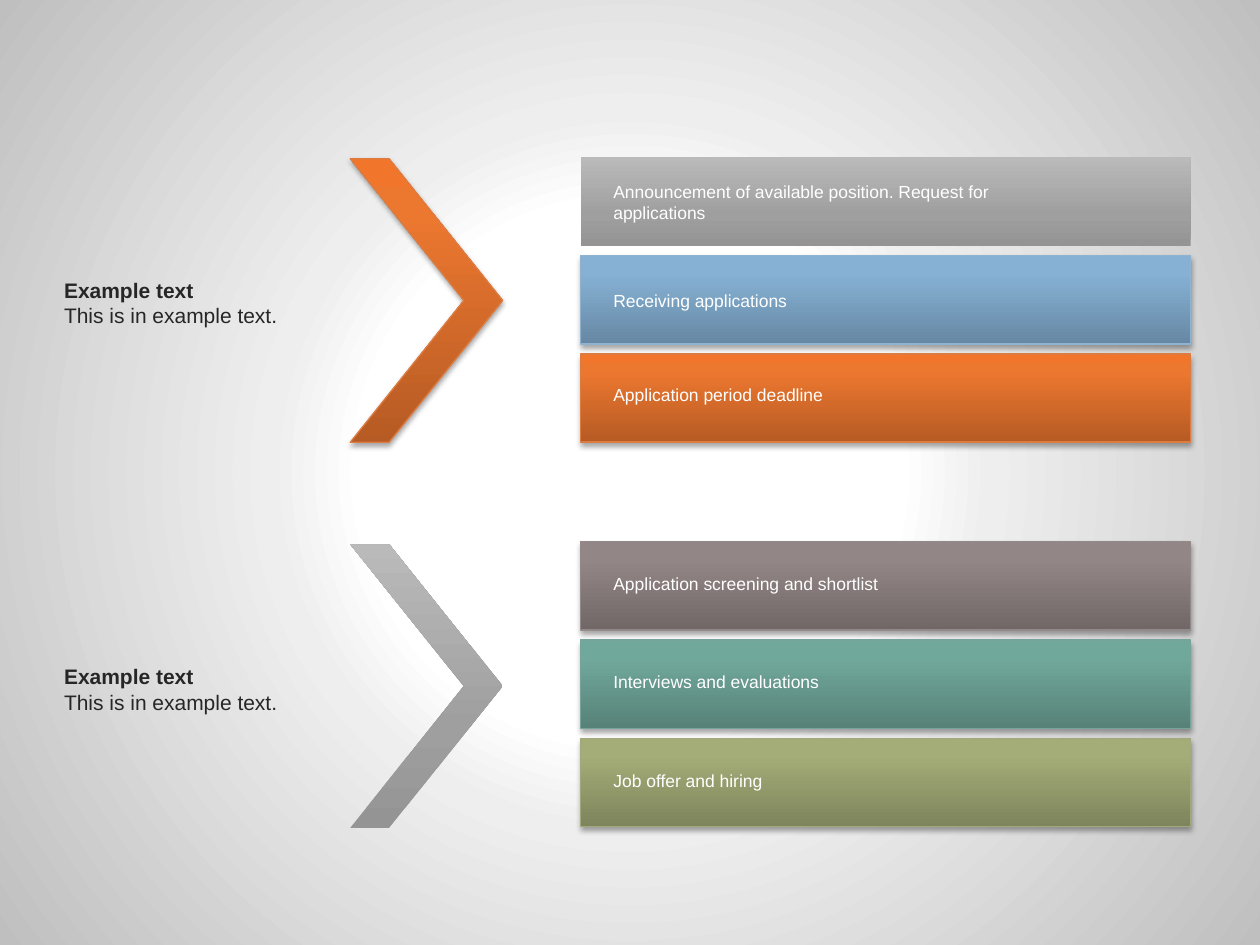
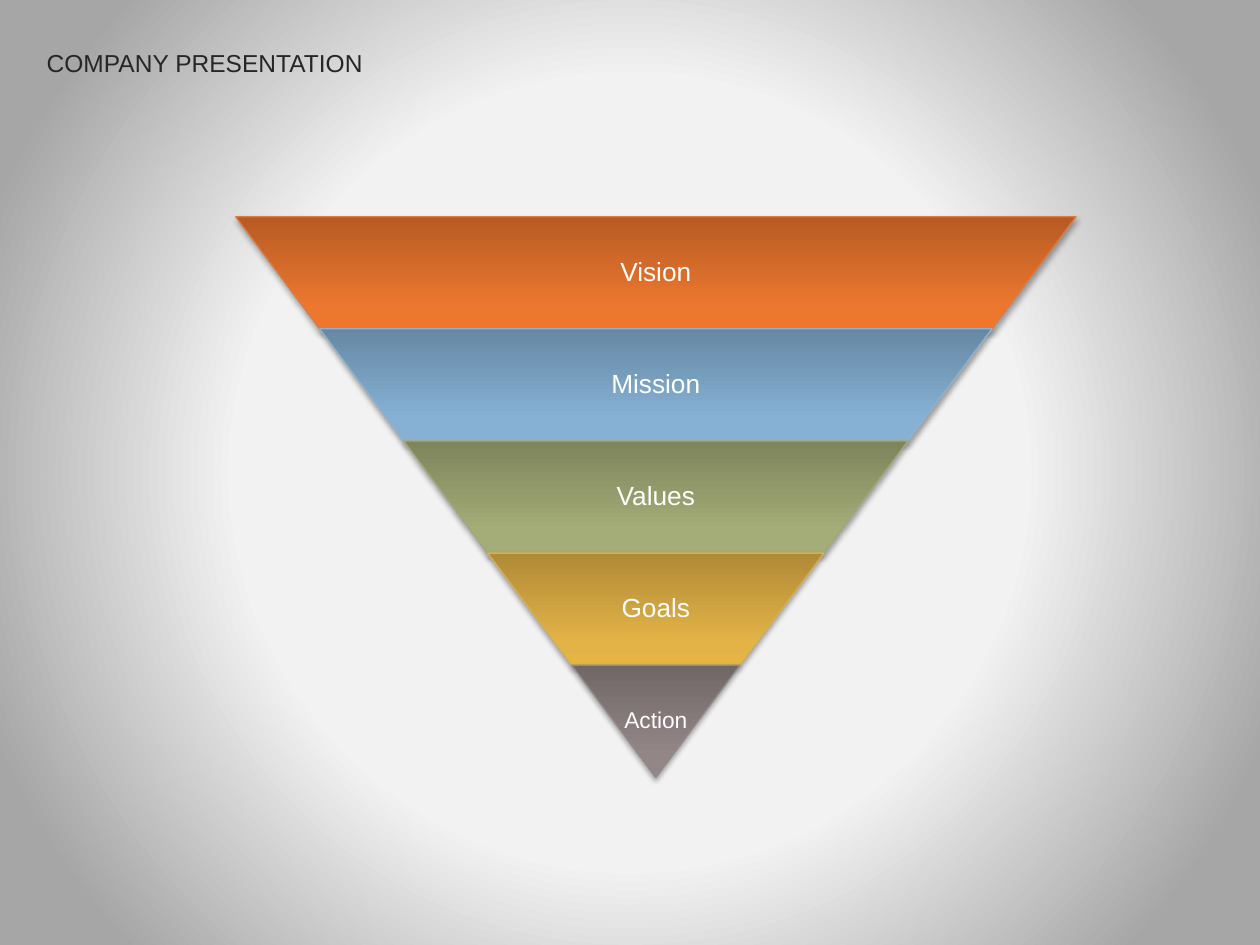
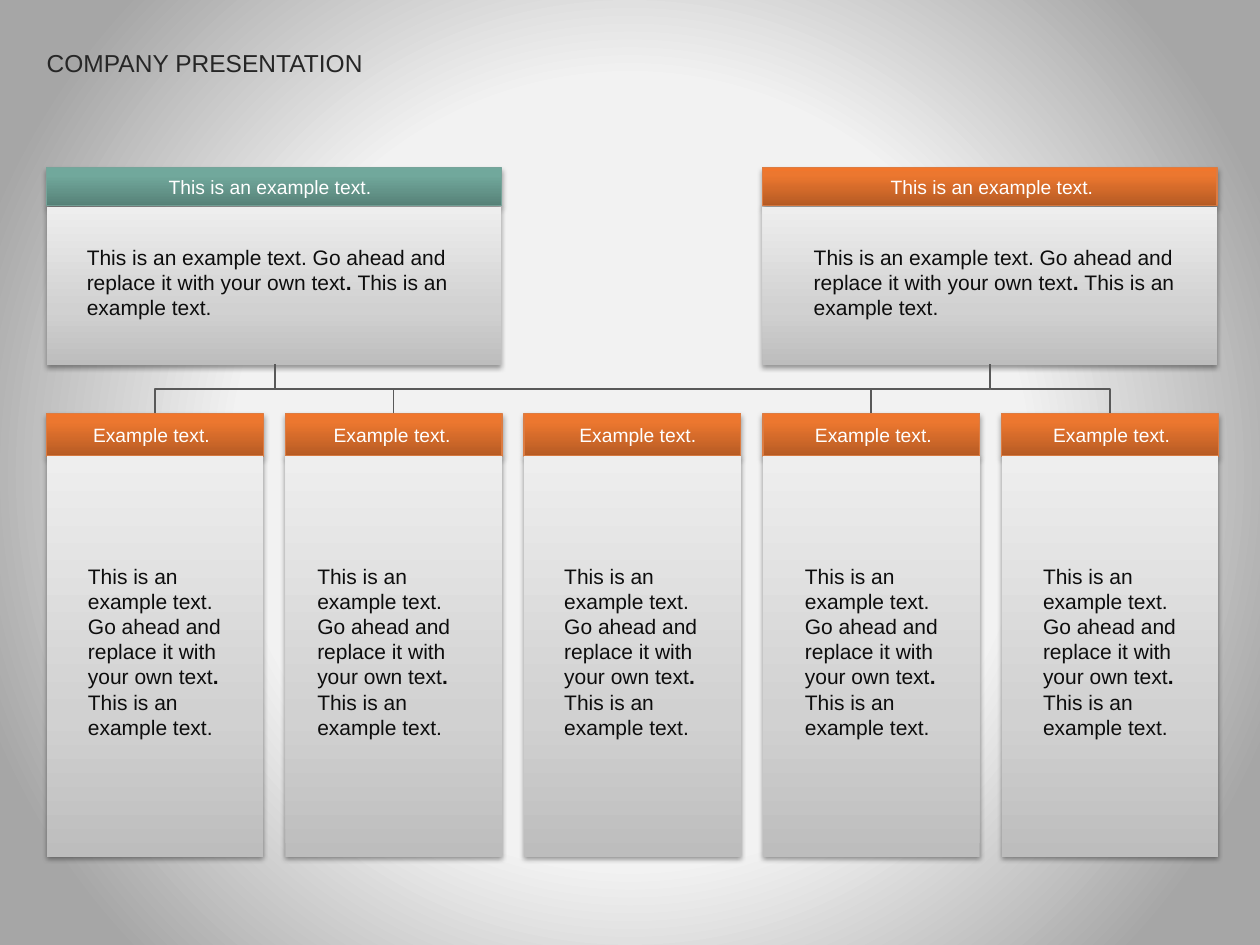
from pptx import Presentation
from pptx.dml.color import RGBColor
from pptx.enum.shapes import MSO_CONNECTOR, MSO_SHAPE
from pptx.enum.text import MSO_ANCHOR, MSO_AUTO_SIZE, PP_ALIGN
from pptx.oxml import parse_xml
from pptx.oxml.ns import nsdecls
from pptx.util import Inches, Pt

RECT, CHEVRON, TRAPEZOID = MSO_SHAPE.RECTANGLE, MSO_SHAPE.CHEVRON, MSO_SHAPE.TRAPEZOID
ELBOW = MSO_CONNECTOR.ELBOW
TOP, MIDDLE = MSO_ANCHOR.TOP, MSO_ANCHOR.MIDDLE
LEFT, CENTER = PP_ALIGN.LEFT, PP_ALIGN.CENTER
GROW, FIXED = MSO_AUTO_SIZE.SHAPE_TO_FIT_TEXT, MSO_AUTO_SIZE.NONE

FONT = "Arial"
WHITE = RGBColor(0xFF, 0xFF, 0xFF)
DARK = RGBColor(0x26, 0x26, 0x26)
BODY = RGBColor(0x0D, 0x0D, 0x0D)
CONNECTOR = RGBColor(0x59, 0x59, 0x59)

# Outline colours
ORANGE_LINE = RGBColor(0xDC, 0x7C, 0x42)
BLUE_LINE = RGBColor(0x8F, 0xB2, 0xCF)
GREEN_LINE = RGBColor(0xA2, 0xA8, 0x7D)
TEAL_LINE = RGBColor(0x77, 0xA4, 0x9A)
MAUVE_LINE = RGBColor(0x93, 0x89, 0x89)
GOLD_LINE = RGBColor(0xD6, 0xAF, 0x57)

# Gradients: (position in percent, colour)
ORANGE = [(0, RGBColor(0xB6, 0x5B, 0x24)), (80, RGBColor(0xEC, 0x77, 0x2F)),
          (100, RGBColor(0xF1, 0x76, 0x2C))]
BLUE = [(0, RGBColor(0x67, 0x88, 0xA4)), (80, RGBColor(0x86, 0xB1, 0xD4)),
        (100, RGBColor(0x86, 0xB2, 0xD7))]
GREEN = [(0, RGBColor(0x7E, 0x84, 0x5C)), (80, RGBColor(0xA4, 0xAC, 0x77)),
         (100, RGBColor(0xA6, 0xAE, 0x76))]
TEAL = [(0, RGBColor(0x57, 0x82, 0x78)), (80, RGBColor(0x71, 0xA8, 0x9C)),
        (100, RGBColor(0x70, 0xAA, 0x9D))]
MAUVE = [(0, RGBColor(0x71, 0x67, 0x67)), (80, RGBColor(0x93, 0x86, 0x86)),
         (100, RGBColor(0x94, 0x87, 0x87))]
GOLD = [(0, RGBColor(0xAF, 0x8A, 0x37)), (80, RGBColor(0xE3, 0xB3, 0x47)),
        (100, RGBColor(0xE7, 0xB5, 0x44))]
GREY = [(0, RGBColor(0x94, 0x94, 0x94)), (35, RGBColor(0x9F, 0x9F, 0x9F)),
        (100, RGBColor(0xBA, 0xBA, 0xBA))]
PANEL = [(0, RGBColor(0xBD, 0xBD, 0xBD)), (35, RGBColor(0xD1, 0xD1, 0xD1)),
         (100, RGBColor(0xEE, 0xEE, 0xEE))]
LIGHT_GLOW = [(34, WHITE), (46, RGBColor(0xEE, 0xEE, 0xEE)),
              (100, RGBColor(0xBF, 0xBF, 0xBF))]
DARK_GLOW = [(50, RGBColor(0xF2, 0xF2, 0xF2)), (88, RGBColor(0xA6, 0xA6, 0xA6))]

LINEAR = '<a:lin ang="16200000" scaled="0"/>'
RADIAL = ('<a:path path="circle"><a:fillToRect l="50000" t="50000" r="50000" b="50000"/>'
          '</a:path>')
# Shadows: (opacity in percent, distance in points)
BAND_SHADOW, PANEL_SHADOW = (35, 1.8), (38, 1.6)


def add_block(slide, box, stops, line=None, shadow=None, kind=RECT, adj=None, shade=LINEAR):
    """Add a preset shape with a gradient fill and optional outline and shadow."""
    sp = slide.shapes.add_shape(kind, *map(Inches, box))
    if adj is not None:
        sp.adjustments[0] = adj
    gs = "".join(f'<a:gs pos="{pos * 1000}"><a:srgbClr val="{color}"/></a:gs>'
                 for pos, color in stops)
    sp._element.spPr.insert(2, parse_xml(
        f'<a:gradFill {nsdecls("a")} rotWithShape="1"><a:gsLst>{gs}</a:gsLst>{shade}</a:gradFill>'))
    if line is None:
        sp.line.fill.background()
    else:
        sp.line.color.rgb = line
        sp.line.width = Pt(0.75)
    sp.shadow.inherit = False
    if shadow:
        alpha, dist = shadow
        sp._element.spPr[-1].append(parse_xml(
            f'<a:outerShdw {nsdecls("a")} blurRad="{Pt(3.1)}" dist="{Pt(dist)}" dir="5400000" '
            f'rotWithShape="0"><a:srgbClr val="000000"><a:alpha val="{alpha * 1000}"/>'
            '</a:srgbClr></a:outerShdw>'))
    return sp


def add_text(slide, box, paragraphs, size=12, color=WHITE, sp=None, align=LEFT,
             anchor=TOP, fit=GROW, inset=None, spacing=None):
    """Write paragraphs, each a list of (text, bold) runs, in sp or a new text box."""
    sp = sp or slide.shapes.add_textbox(0, 0, 0, 0)
    sp.left, sp.top, sp.width, sp.height = map(Inches, box)
    tf = sp.text_frame
    tf.word_wrap, tf.auto_size, tf.vertical_anchor = True, fit, anchor
    if inset is not None:
        tf.margin_left = tf.margin_top = tf.margin_right = tf.margin_bottom = Inches(inset)
    for i, runs in enumerate(paragraphs):
        p = tf.add_paragraph() if i else tf.paragraphs[0]
        p.alignment = align
        if spacing:
            p.line_spacing = spacing
        for text, bold in runs:
            r = p.add_run()
            r.text = text
            r.font.name, r.font.size, r.font.bold = FONT, Pt(size), bold
            r.font.color.rgb = color


prs = Presentation()
prs.slide_width, prs.slide_height = Inches(10), Inches(7.5)
TITLE_ONLY, BLANK = prs.slide_layouts[5], prs.slide_layouts[6]

# All slides: radial background, and a title on the second and third
slides = []
for layout, glow in ((BLANK, LIGHT_GLOW), (TITLE_ONLY, DARK_GLOW), (TITLE_ONLY, DARK_GLOW)):
    s = prs.slides.add_slide(layout)
    background = add_block(s, (0, 0, 10, 7.5), glow, shade=RADIAL)
    s.shapes._spTree.insert(2, background._element)
    if layout is TITLE_ONLY:
        add_text(s, (0.27, 0.33, 4.11, 0.34), [[("COMPANY PRESENTATION", False)]],
                 size=14, color=DARK, sp=s.shapes.title, fit=FIXED)
    slides.append(s)
hiring, pyramid, organisation = slides

# Slide 1: two groups of three hiring steps
groups = [
    (1.25, 1.26, 2.15, (ORANGE, ORANGE_LINE, BAND_SHADOW), [
        (GREY, None, None, 1.39,
         ["Announcement of available position. Request for", "applications"]),
        (BLUE, BLUE_LINE, BAND_SHADOW, 2.25, ["Receiving applications"]),
        (ORANGE, ORANGE_LINE, BAND_SHADOW, 3, ["Application period deadline"])]),
    (4.3, 4.32, 5.22, (GREY, None, None), [
        (MAUVE, MAUVE_LINE, BAND_SHADOW, 4.5, ["Application screening and shortlist"]),
        (TEAL, TEAL_LINE, BAND_SHADOW, 5.28, ["Interviews and evaluations"]),
        (GREEN, GREEN_LINE, BAND_SHADOW, 6.06, ["Job offer and hiring"])]),
]
for top, chevron_top, caption_top, chevron_style, steps in groups:
    for i, (stops, line, shadow, text_top, lines) in enumerate(steps):
        add_block(hiring, (4.61, top + 0.78 * i, 4.84, 0.7), stops, line, shadow)
        add_text(hiring, (4.77, text_top, 3.5, 0.1 + 0.17 * len(lines)),
                 [[(text, False)] for text in lines], size=10)
    add_block(hiring, (2.78, chevron_top, 1.21, 2.25), *chevron_style, kind=CHEVRON, adj=0.745)
    add_text(hiring, (0.41, caption_top, 2.81, 0.5),
             [[("Example text", True)], [("This is in example text.", False)]], color=DARK)

# Slide 2: inverted pyramid, each level narrower by one step
levels = [("Vision", ORANGE, ORANGE_LINE), ("Mission", BLUE, BLUE_LINE),
          ("Values", GREEN, GREEN_LINE), ("Goals", GOLD, GOLD_LINE),
          ("Action", MAUVE, MAUVE_LINE)]
pyramid_width, level_height = 6.67, 0.89
pyramid_center = 1.87 + pyramid_width / 2
for i, (name, stops, line) in enumerate(levels):
    is_tip = i == len(levels) - 1
    top = 1.72 + level_height * i
    width = pyramid_width * (1 - i / len(levels))
    level = add_block(pyramid, (pyramid_center - width / 2, top, width, level_height),
                      stops, line, BAND_SHADOW, kind=TRAPEZOID, adj=0.75)
    level.rotation = 180
    text_width = width if is_tip else 0.65 * width
    add_text(pyramid, (pyramid_center - text_width / 2, top, text_width, level_height),
             [[(name, False)]], size=13 if is_tip else 15, align=CENTER, anchor=MIDDLE,
             fit=FIXED, inset=0.02, spacing=0.9)

# Slide 3: two units over five columns
description = [[("This is an example text. Go ahead and replace it with your own text", False),
                (". ", True), ("This is an example text.", False)]]
units = [(0.37, TEAL, TEAL_LINE, 1.24, 0.59), (6.05, ORANGE, ORANGE_LINE, 6.97, 6.36)]
for left, stops, line, label_left, text_left in units:
    add_block(organisation, (left, 1.33, 3.61, 0.3), stops, line, BAND_SHADOW)
    add_block(organisation, (left, 1.64, 3.61, 1.26), PANEL, shadow=PANEL_SHADOW)
    add_text(organisation, (text_left, 1.89, 3.09, 0.71), description, color=BODY)
    add_text(organisation, (label_left, 1.34, 1.88, 0.28),
             [[("This is an example text.", False)]], size=11)

column_width, column_step = 1.72, 1.895
columns = [(0.64, 0.6), (2.55, 2.42), (4.5, 4.38), (6.37, 6.29), (8.26, 8.18)]
for i, (label_left, text_left) in enumerate(columns):
    left = 0.37 + column_step * i
    add_block(organisation, (left, 3.28, column_width, 0.34), ORANGE, ORANGE_LINE, BAND_SHADOW)
    add_block(organisation, (left, 3.62, column_width, 3.18), PANEL, shadow=PANEL_SHADOW)
    add_text(organisation, (text_left, 4.42, 1.33, 1.51), description, color=BODY)
    add_text(organisation, (label_left, 3.31, 1.16, 0.29), [[("Example text.", False)]], size=11)

# Elbows leave a unit downwards, so their frame is turned by a quarter
unit_bottom, column_top = 2.89, 3.28
drop, middle = column_top - unit_bottom, (unit_bottom + column_top) / 2
for start, column, weight in ((2.18, 0, 1), (2.18, 1, 0.75), (2.18, 3, 1),
                              (7.86, 3, 1), (7.86, 4, 1)):
    end = 0.37 + column_width / 2 + column_step * column
    center, reach = (start + end) / 2, abs(end - start)
    elbow = organisation.shapes.add_connector(
        ELBOW, Inches(center - drop / 2), Inches(middle - reach / 2),
        Inches(center + drop / 2), Inches(middle + reach / 2))
    xfrm = elbow._element.spPr.xfrm
    if end > start:
        xfrm.set("rot", "16200000")
        xfrm.set("flipH", "1")
    else:
        xfrm.set("rot", "5400000")
    elbow.line.color.rgb = CONNECTOR
    elbow.line.width = Pt(weight)
    elbow._element.spPr.append(parse_xml(f'<a:effectLst {nsdecls("a")}/>'))

prs.save("out.pptx")
